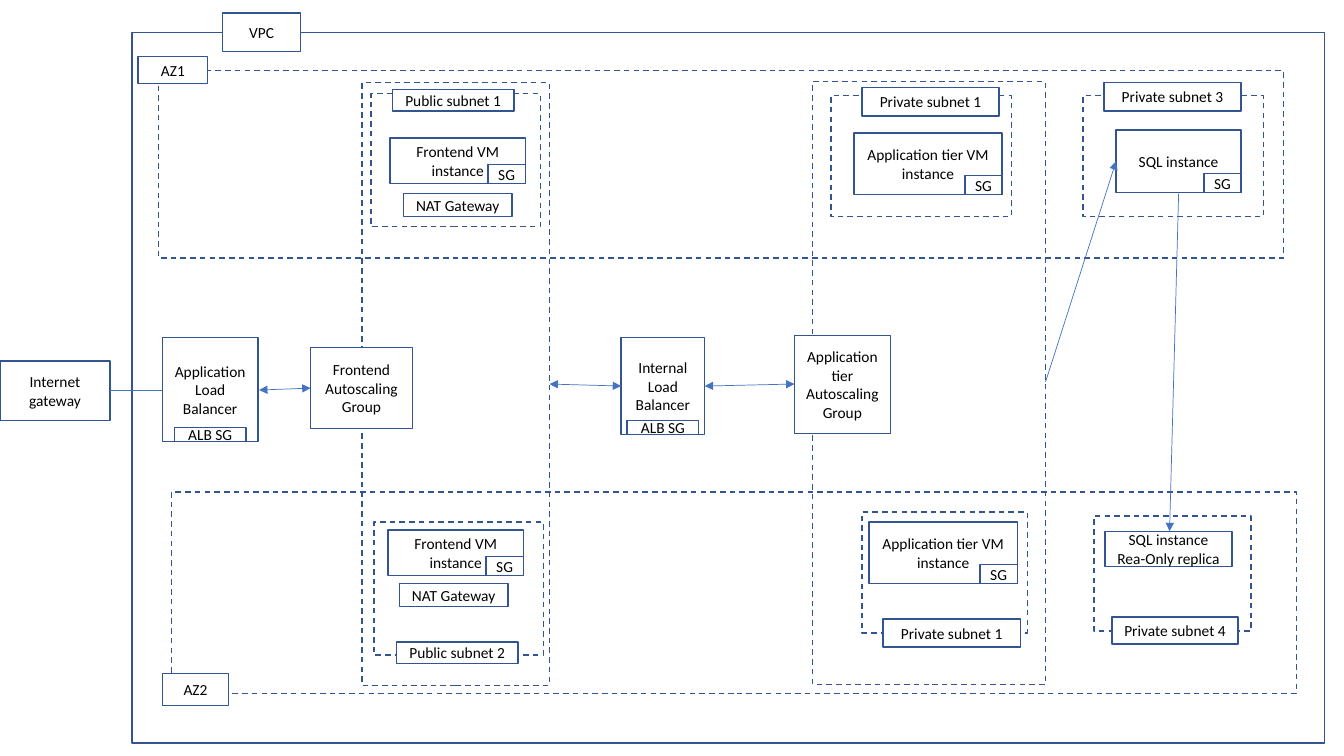
from lxml.etree import SubElement
from pptx import Presentation
from pptx.dml.color import RGBColor
from pptx.enum.dml import MSO_LINE_DASH_STYLE as DASH
from pptx.enum.shapes import MSO_CONNECTOR as CONN, MSO_SHAPE as SHAPE
from pptx.enum.text import MSO_ANCHOR as ANCHOR, PP_ALIGN as ALIGN
from pptx.oxml.ns import qn
from pptx.util import Inches, Pt

COLORS = {"outline": "325491", "arrow": "4472C4", "box": "FFFFFF", "text": "000000"}
FONT = {"name": "Calibri", "size": Pt(11)}
FRAME = {"word_wrap": True, "vertical_anchor": ANCHOR.MIDDLE,
         "margin_top": 0, "margin_bottom": 0}
SG_SIZE = (0.37, 0.19)
ALB_SG_SIZE = (0.71, 0.14)
NAT_SIZE = (1.08, 0.23)
FRONTEND = ("Frontend VM instance", 1.34, 0.45)
APP_TIER = ("Application tier VM instance", 1.47, 0.61)
DATABASE = ("SQL instance", 1.24, 0.62)


def rgb(name):
    return RGBColor.from_string(COLORS[name])


def outline(s, box, dashed=False):
    sp = s.shapes.add_shape(SHAPE.RECTANGLE, *map(Inches, box))
    sp.shadow.inherit = False
    sp.fill.background()
    sp.line.color.rgb = rgb("outline")
    sp.line.width = Pt(1)
    if dashed:
        sp.line.dash_style = DASH.DASH
    return sp


def label(s, text, box, margin=0.1):
    sp = outline(s, box)
    sp.fill.solid()
    sp.fill.fore_color.rgb = rgb("box")
    tf = sp.text_frame
    for key, value in FRAME.items():
        setattr(tf, key, value)
    tf.margin_left = tf.margin_right = Inches(margin)
    p = tf.paragraphs[0]
    p.alignment = ALIGN.CENTER
    r = p.add_run()
    r.text = text
    for key, value in FONT.items():
        setattr(r.font, key, value)
    r.font.color.rgb = rgb("text")


def arrow(s, start, end, ends=()):
    """Draw a thin line with triangles at the named ends (headEnd, tailEnd)."""
    c = s.shapes.add_connector(CONN.STRAIGHT, *map(Inches, start + end))
    c.line.color.rgb = rgb("arrow")
    c.line.width = Pt(0.5)
    ln = c.line._get_or_add_ln()
    for name in ends:
        SubElement(ln, qn(f"a:{name}"), type="triangle")
    SubElement(c._element.spPr, qn("a:effectLst"))


def zone(s, name, box, tag):
    """Dashed availability zone; tag is the label's offset and size."""
    x, y = box[:2]
    dx, dy, w, h = tag
    outline(s, box, dashed=True)
    label(s, name, (x + dx, y + dy, w, h))


def subnet(s, box, name, instance, nat=None, group=True):
    """Dashed subnet; each part is (text, width, height) and its offset in box."""
    x, y = box[:2]
    outline(s, box, dashed=True)
    for (text, w, h), (dx, dy) in (name, instance):
        label(s, text, (x + dx, y + dy, w, h))
    if nat:
        label(s, "NAT Gateway", (x + nat[0], y + nat[1], *NAT_SIZE))
    if group:
        (_, w, h), (dx, dy) = instance
        sw, sh = SG_SIZE
        label(s, "SG", (x + dx + w - sw, y + dy + h - sh, sw, sh), margin=0)


def balancer(s, name, box):
    """Load balancer with its security group centred on the bottom edge."""
    x, y, w, h = box
    gw, gh = ALB_SG_SIZE
    label(s, name, box)
    label(s, "ALB SG", (x + (w - gw) / 2, y + h - gh, gw, gh), margin=0)


def autoscaling(s, name, box, tag):
    """Dashed tier across both zones; tag is the label's offset and size."""
    x, y = box[:2]
    dx, dy, w, h = tag
    outline(s, box, dashed=True)
    label(s, name, (x + dx, y + dy, w, h))


def network(s, box):
    x, y = box[:2]
    outline(s, box)
    label(s, "VPC", (x + 0.9, y - 0.19, 0.77, 0.38))
    label(s, "Internet gateway", (x - 1.31, y + 3.26, 1.09, 0.59))
    zone(s, "AZ1", (1.57, 0.7, 11.16, 1.86), (-0.2, -0.14, 0.69, 0.27))
    zone(s, "AZ2", (1.7, 4.88, 11.16, 2), (-0.09, 1.8, 0.66, 0.32))


def subnets(s):
    subnet(s, (3.68, 0.93, 1.68, 1.32), (("Public subnet 1", 1.21, 0.21), (0.21, -0.04)),
           (FRONTEND, (0.19, 0.44)), nat=(0.32, 0.99))
    subnet(s, (3.71, 5.18, 1.68, 1.32), (("Public subnet 2", 1.21, 0.21), (0.22, 1.19)),
           (FRONTEND, (0.14, 0.08)), nat=(0.25, 0.61))
    subnet(s, (8.24, 0.95, 1.79, 1.2), (("Private subnet 1", 1.36, 0.28), (0.31, -0.08)),
           (APP_TIER, (0.23, 0.37)))
    subnet(s, (8.55, 5.08, 1.64, 1.2), (("Private subnet 1", 1.36, 0.28), (0.21, 1.06)),
           (APP_TIER, (0.07, 0.1)))
    subnet(s, (10.74, 0.95, 1.79, 1.2), (("Private subnet 3", 1.36, 0.28), (0.21, -0.13)),
           (DATABASE, (0.33, 0.34)))
    subnet(s, (10.85, 5.12, 1.56, 1.14), (("Private subnet 4", 1.25, 0.27), (0.18, 1)),
           (("SQL instance Rea-Only replica", 1.26, 0.35), (0.11, 0.15)), group=False)


def traffic(s):
    balancer(s, "Application Load Balancer", (1.61, 3.35, 0.95, 1.03))
    balancer(s, "Internal Load Balancer", (6.16, 3.35, 0.83, 0.96))
    both = ("headEnd", "tailEnd")
    for start, end, ends in (
        ((1.09, 3.87), (1.61, 3.87), ()),
        ((2.57, 3.87), (3.08, 3.85), both),
        ((5.45, 3.81), (6.16, 3.83), both),
        ((6.99, 3.83), (7.88, 3.81), both),
        ((10.37, 3.79), (11.07, 1.6), both[1:]),
        ((11.69, 1.92), (11.6, 5.27), both[1:]),
    ):
        arrow(s, start, end, ends)


def main():
    prs = Presentation()
    prs.slide_width, prs.slide_height = Inches(13.33), Inches(7.5)
    s = prs.slides.add_slide(prs.slide_layouts[6])
    network(s, (1.31, 0.32, 11.83, 7.05))
    autoscaling(s, "Frontend Autoscaling Group", (3.59, 0.82, 1.86, 5.98),
                (-0.51, 2.63, 1.01, 0.8))
    autoscaling(s, "Application tier Autoscaling Group", (8.06, 0.81, 2.31, 5.98),
                (-0.18, 2.52, 0.95, 0.97))
    subnets(s)
    traffic(s)
    prs.save("out.pptx")


if __name__ == "__main__":
    main()
